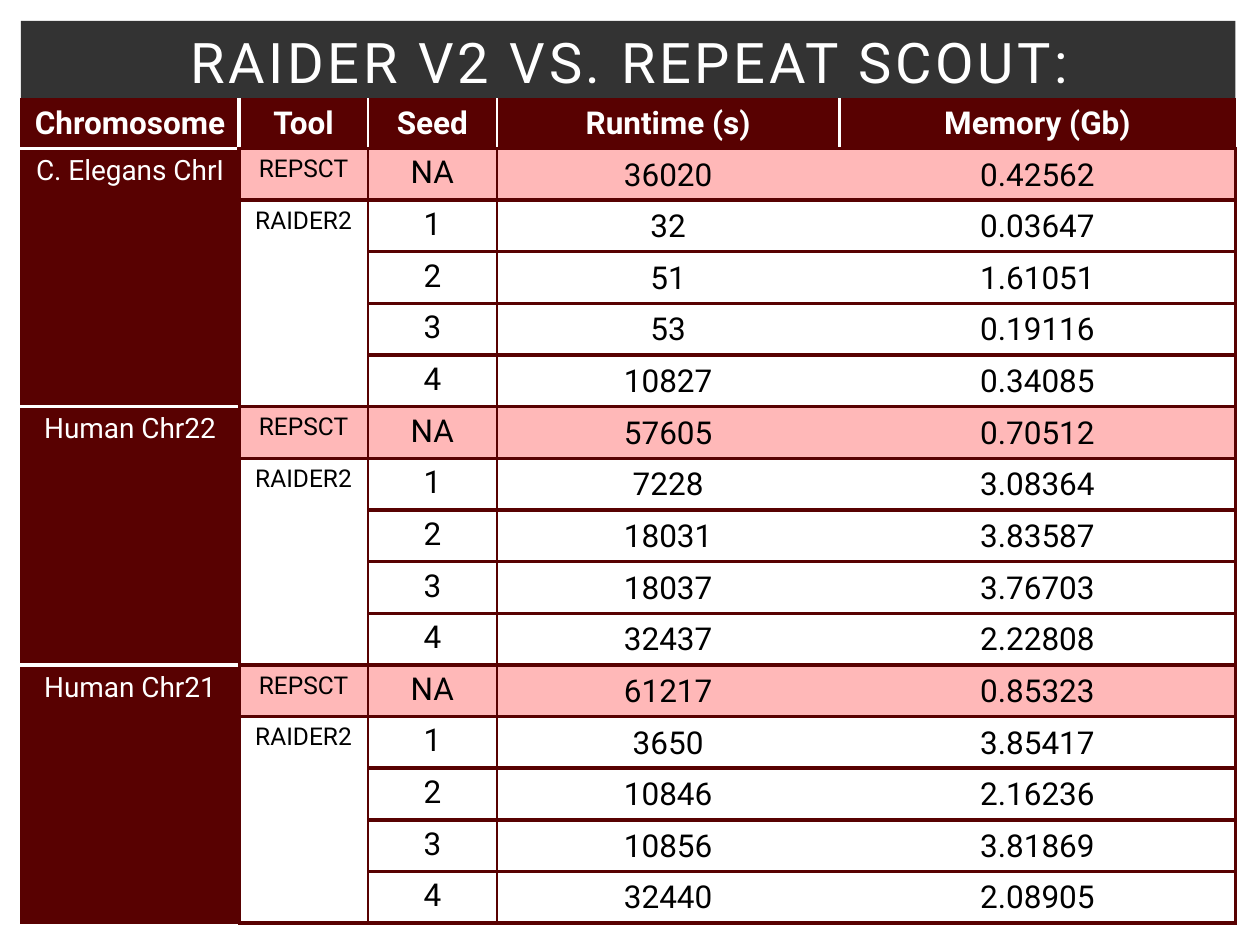
from pptx import Presentation
from pptx.dml.color import RGBColor
from pptx.enum.shapes import MSO_SHAPE
from pptx.enum.text import MSO_ANCHOR as ANC, PP_ALIGN
from pptx.oxml.ns import qn
from pptx.util import Pt
from lxml.etree import SubElement

WHITE = RGBColor(0xFF, 0xFF, 0xFF)
BLACK = RGBColor(0, 0, 0)
GREY = RGBColor(0x33, 0x33, 0x33)
MAROON = RGBColor(0x58, 0x01, 0x01)
PINK = RGBColor(0xFF, 0xB8, 0xB8)
FONT = "Roboto"

THIN, MID, THICK = (MAROON, 1), (WHITE, 1.5), (MAROON, 2.25)
WHITE_THICK = (WHITE, 2.25)

HEADERS = ["Chromosome", "Tool", "Seed", "Runtime (s)", "Memory (Gb)"]
SEEDS = ["NA", "1", "2", "3", "4"]
GROUPS = [
    ("C. Elegans ChrI",
     ["36020", "32", "51", "53", "10827"],
     ["0.42562", "0.03647", "1.61051", "0.19116", "0.34085"]),
    ("Human Chr22",
     ["57605", "7228", "18031", "18037", "32437"],
     ["0.70512", "3.08364", "3.83587", "3.76703", "2.22808"]),
    ("Human Chr21",
     ["61217", "3650", "10846", "10856", "32440"],
     ["0.85323", "3.85417", "2.16236", "3.81869", "2.08905"]),
]


def add_text(tf, text, size, color, bold=False):
    p = tf.paragraphs[0]
    p.alignment = PP_ALIGN.CENTER
    r = p.add_run()
    r.text = text
    r.font.name = FONT
    r.font.size = Pt(size)
    r.font.bold = bold
    r.font.color.rgb = color
    return r


def style_cell(cell, fill, left=None, right=None, top=None, bottom=None):
    tcPr = cell._tc.get_or_add_tcPr()
    for tag, border in (("a:lnL", left), ("a:lnR", right), ("a:lnT", top), ("a:lnB", bottom)):
        ln = SubElement(tcPr, qn(tag))
        if border:
            color, width = border
            ln.set("w", str(int(Pt(width))))
            solid = SubElement(ln, qn("a:solidFill"))
            SubElement(solid, qn("a:srgbClr")).set("val", str(color))
        else:
            SubElement(ln, qn("a:noFill"))
    cell.fill.solid()
    cell.fill.fore_color.rgb = fill


prs = Presentation()
prs.slide_width, prs.slide_height = Pt(720), Pt(540)
s = prs.slides.add_slide(prs.slide_layouts[6])

for x, y, w, h, color in ((12, 12, 694, 118, GREY), (0.5, 126.5, 710, 412, WHITE)):
    sp = s.shapes.add_shape(MSO_SHAPE.RECTANGLE, Pt(x), Pt(y), Pt(w), Pt(h))
    sp.shadow.inherit = False
    sp.fill.solid()
    sp.fill.fore_color.rgb = color
    sp.line.fill.background()

widths = [124.7, 73.6, 73.6, 195.9, 226.2]
heights = [28.1] + [29.53] * 15
table = s.shapes.add_table(16, 5, Pt(12), Pt(56.5), Pt(sum(widths)), Pt(sum(heights))).table
table.horz_banding = False
for col, w in zip(table.columns, widths):
    col.width = Pt(w)
for row, h in zip(table.rows, heights):
    row.height = Pt(h)

header_sides = [THIN, WHITE_THICK, MID, MID, MID, THIN]
for c, text in enumerate(HEADERS):
    cell = table.cell(0, c)
    bottom = THICK if c else WHITE_THICK
    style_cell(cell, MAROON, header_sides[c], header_sides[c + 1], THIN, bottom)
    add_text(cell.text_frame, text, 18, WHITE, True)

for g, (name, runtimes, memories) in enumerate(GROUPS):
    first = 1 + 5 * g
    name_bottom = THIN if g == len(GROUPS) - 1 else WHITE_THICK
    for i, (seed, runtime, memory) in enumerate(zip(SEEDS, runtimes, memories)):
        row = first + i
        fill = WHITE if i else PINK
        style_cell(table.cell(row, 0), MAROON, THIN, THICK, WHITE_THICK, name_bottom)
        style_cell(table.cell(row, 1), fill, THICK, THIN, THICK, THICK)
        style_cell(table.cell(row, 2), fill, THIN, THIN, THICK, THICK)
        style_cell(table.cell(row, 3), fill, THIN, None, THICK, THICK)
        style_cell(table.cell(row, 4), fill, None, THICK, THICK, THICK)
        for c, text in enumerate((seed, runtime, memory), 2):
            cell = table.cell(row, c)
            cell.vertical_anchor = ANC.TOP if c == 2 else ANC.BOTTOM
            add_text(cell.text_frame, text, 18, BLACK)
    table.cell(first, 0).merge(table.cell(first + 4, 0))
    table.cell(first + 1, 1).merge(table.cell(first + 4, 1))
    add_text(table.cell(first, 0).text_frame, name, 16, WHITE)
    add_text(table.cell(first, 1).text_frame, "REPSCT", 14, BLACK)
    add_text(table.cell(first + 1, 1).text_frame, "RAIDER2", 14, BLACK)

sp = s.shapes.add_textbox(Pt(30), Pt(12), Pt(660), Pt(46))
tf = sp.text_frame
tf.word_wrap = True
tf.vertical_anchor = ANC.MIDDLE
r = add_text(tf, "RAIDER V2 VS. REPEAT SCOUT:", 32, WHITE)
r.font._element.set("spc", "200")

prs.save("out.pptx")
